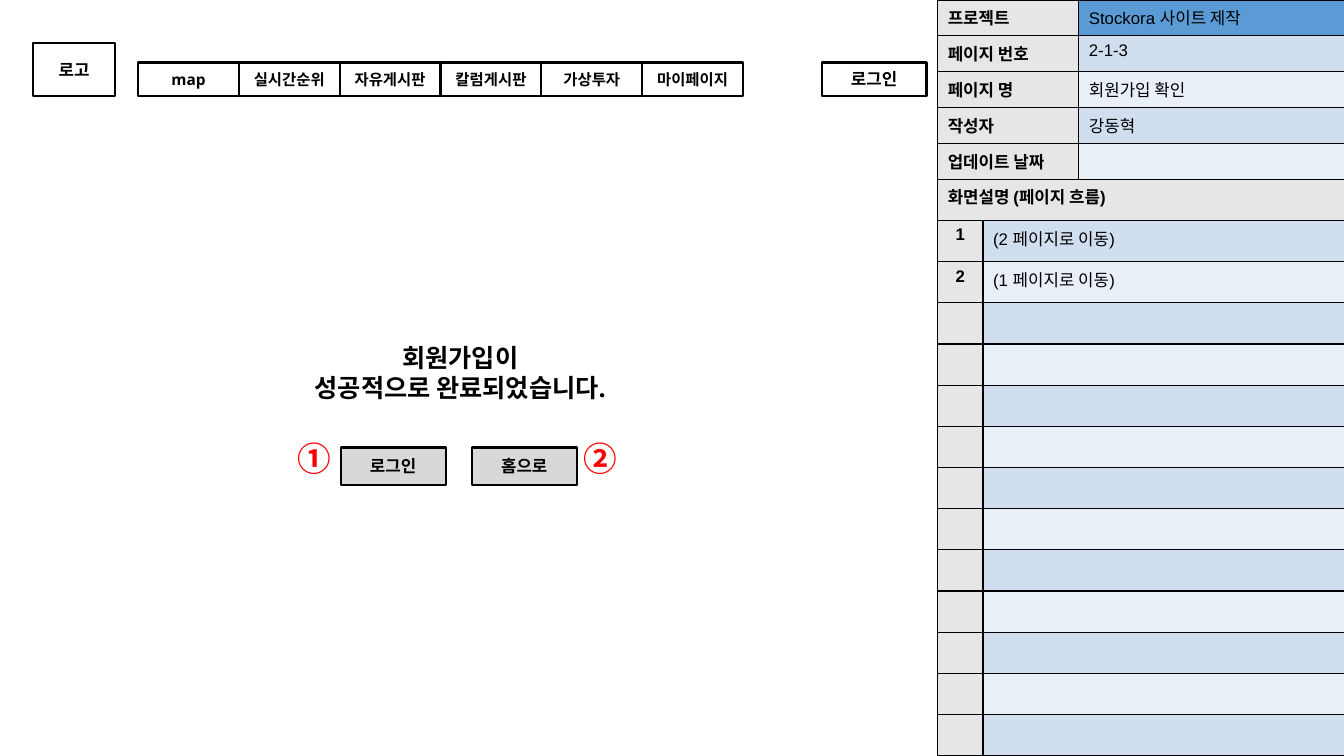
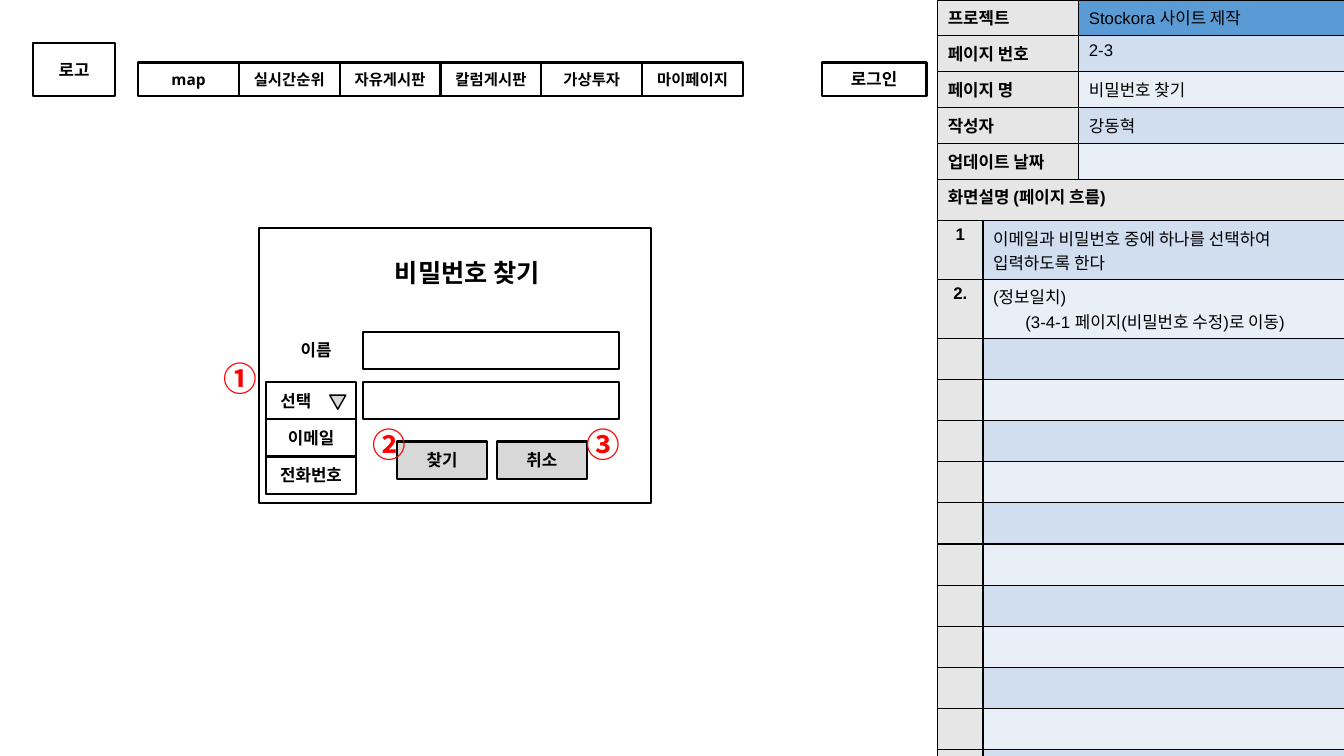
from lxml.etree import SubElement as Sub
from pptx import Presentation
from pptx.dml.color import RGBColor as RGB
from pptx.enum.shapes import MSO_SHAPE as Shape
from pptx.enum.text import MSO_ANCHOR as Anchor, MSO_AUTO_SIZE as Fit, PP_ALIGN as Align
from pptx.oxml.ns import qn
from pptx.util import Inches, Pt

HEX = {
    "ink": "000000",
    "mark": "FF0000",
    "button": "D8D8D8",
    "head": "E7E6E6",
    "project": "5B9BD5",
    "dark": "D0DEEF",
    "light": "E9EFF7",
}
SANS, BODY, ASIAN = "Open Sans", "Arial", "Noto Sans CJK KR"
MENU = ["map", "실시간순위", "자유게시판", "칼럼게시판", "가상투자", "마이페이지"]
PROJECT, AUTHOR = "Stockora 사이트 제작", "강동혁"
SIDE, SPLIT, BOTTOM = 9.3, 1.78, 7.5
STEPS = 13


def color(name):
    return RGB.from_string(HEX[name])


def style(frame, size, face=SANS, bold=True, align=Align.CENTER, ink="ink"):
    for para in frame.paragraphs:
        para.alignment = align
        font = para.font
        font.size, font.bold, font.name = Pt(size), bold, face
        font.color.rgb = color(ink)
        latin = para._p.pPr.find(qn("a:defRPr")).find(qn("a:latin"))
        latin.addnext(latin.makeelement(qn("a:ea"), {"typeface": ASIAN}))


def inset(frame, side=0.1, top=0.1):
    frame.margin_left = frame.margin_right = Inches(side)
    frame.margin_top = frame.margin_bottom = Inches(top)


def place(at):
    return [Inches(n) for n in at]


def paint(shape, fill=None, width=1.5):
    shape.shadow.inherit = False
    if fill:
        shape.fill.solid()
        shape.fill.fore_color.rgb = color(fill)
    else:
        shape.fill.background()
    shape.line.color.rgb = color("ink")
    shape.line.width = Pt(width)


def write(frame, text, size, **look):
    frame.text = text
    frame.word_wrap = True
    frame.auto_size = Fit.NONE
    frame.vertical_anchor = Anchor.MIDDLE
    inset(frame)
    style(frame, size, **look)


def box(slide, at, text="", fill=None, size=12, **look):
    shape = slide.shapes.add_shape(Shape.RECTANGLE, *place(at))
    paint(shape, fill)
    if text:
        write(shape.text_frame, text, size, **look)
    return shape


def label(slide, at, text):
    frame = slide.shapes.add_textbox(*place(at)).text_frame
    write(frame, text, 12)


def mark(slide, left, top, sign):
    frame = slide.shapes.add_textbox(*place((left, top, 0.6, 0.5))).text_frame
    write(frame, sign, 24, face=ASIAN, align=Align.LEFT, ink="mark")
    frame.vertical_anchor = Anchor.TOP
    inset(frame, top=0.05)


def title(slide, at, text):
    head = slide.shapes.title
    head.left, head.top, head.width, head.height = place(at)
    write(head.text_frame, text, 18)


def border(cell):
    props = cell._tc.get_or_add_tcPr()
    for edge in ("lnL", "lnR", "lnT", "lnB"):
        line = Sub(props, qn(f"a:{edge}"), w=str(Pt(1)))
        fill = Sub(line, qn("a:solidFill"))
        Sub(fill, qn("a:srgbClr"), val=HEX["ink"])


def fill_cell(cell, text, fill, **look):
    border(cell)
    cell.fill.solid()
    cell.fill.fore_color.rgb = color(fill)
    cell.text = text
    inset(cell, top=0.05)
    style(cell.text_frame, 12, face=BODY, **look)


def grid(slide, rows, top, end, widths):
    frame = slide.shapes.add_table(
        rows, len(widths), *place((SIDE, top, sum(widths), end - top)))
    table = frame.table
    table.first_row = table.horz_banding = False
    for col, width in zip(table.columns, widths):
        col.width = Inches(width)
    return table


def band(row):
    return "dark" if row % 2 else "light"


def info(slide, number, name):
    rows = [("프로젝트", PROJECT), ("페이지 번호", number), ("페이지 명", name),
            ("작성자", AUTHOR), ("업데이트 날짜", "")]
    table = grid(slide, len(rows), 0, SPLIT, (1.4, 2.64))
    for row, (key, value) in enumerate(rows):
        fill_cell(table.cell(row, 0), key, "head", align=Align.LEFT)
        fill_cell(table.cell(row, 1), value, band(row) if row else "project",
                  bold=False, align=Align.LEFT)


def flow(slide, steps):
    """Add the description table and return it."""
    table = grid(slide, STEPS + 1, SPLIT, BOTTOM, (0.45, 3.59))
    for col in range(2):
        fill_cell(table.cell(0, col), "" if col else "화면설명 (페이지 흐름)",
                  "head", align=Align.LEFT)
    table.cell(0, 0).merge(table.cell(0, 1))
    blank = [("", "")] * (STEPS - len(steps))
    for row, (key, text) in enumerate(steps + blank, 1):
        fill_cell(table.cell(row, 0), key, "head")
        fill_cell(table.cell(row, 1), text, band(row), bold=False, align=Align.LEFT)
    return table


def menu(slide):
    box(slide, (0.33, 0.43, 0.81, 0.52), "로고")
    box(slide, (8.15, 0.62, 1.04, 0.33), "로그인")
    for i, text in enumerate(MENU):
        box(slide, (1.37 + i, 0.62, 1, 0.33), text, size=11)


def page(deck, number, name, steps):
    """Add a slide with the parts all pages share; return it and its flow table."""
    slide = deck.slides.add_slide(deck.slide_layouts[5])
    info(slide, number, name)
    table = flow(slide, steps)
    menu(slide)
    return slide, table


def joined(deck):
    steps = [("1", "(2 페이지로 이동)"), ("2", "(1 페이지로 이동)")]
    slide, _ = page(deck, "2-1-3", "회원가입 확인", steps)
    title(slide, (2.34, 3.51, 4.45, 0.37), "회원가입이\n성공적으로 완료되었습니다.")
    for left, text in ((3.38, "로그인"), (4.68, "홈으로")):
        box(slide, (left, 4.44, 1.04, 0.37), text, "button")
    for left, sign in ((2.85, "①"), (5.69, "②")):
        mark(slide, left, 4.3, sign)


def picker(slide, left, top, wide, high):
    """Draw the open drop-down list."""
    first = box(slide, (left, top, wide, high), "선택", align=Align.LEFT)
    first.text_frame.margin_left = Inches(0.14)
    for i, text in enumerate(("이메일", "전화번호"), 1):
        box(slide, (left, top + i * high, wide, high), text)
    arrow = slide.shapes.add_shape(
        Shape.ISOSCELES_TRIANGLE, *place((left + 0.63, top + 0.13, 0.16, 0.14)))
    arrow.rotation = 180
    paint(arrow, "button", 1)


def search(deck):
    steps = [("1", "이메일과 비밀번호 중에 하나를 선택하여\n입력하도록 한다"),
             ("2.", "(정보일치)\n(3-4-1 페이지(비밀번호 수정)로 이동)")]
    slide, table = page(deck, "2-3", "비밀번호 찾기", steps)
    target = table.cell(2, 1).text_frame.paragraphs[1]
    target._p.get_or_add_pPr().set("marL", str(Inches(0.32)))
    box(slide, (2.57, 2.26, 3.89, 2.73))
    title(slide, (3.73, 2.52, 1.81, 0.37), "비밀번호 찾기")
    label(slide, (2.72, 3.29, 0.83, 0.37), "이름")
    for top in (3.29, 3.79):
        box(slide, (3.6, top, 2.54, 0.37))
    picker(slide, 2.64, 3.79, 0.89, 0.37)
    for left, text in ((3.94, "찾기"), (4.93, "취소")):
        box(slide, (left, 4.38, 0.89, 0.37), text, "button")
    for left, top, sign in ((2.12, 3.5, "①"), (3.6, 4.16, "②"), (5.72, 4.16, "③")):
        mark(slide, left, top, sign)


def main():
    deck = Presentation()
    deck.slide_width, deck.slide_height = Inches(13.33), Inches(BOTTOM)
    joined(deck)
    search(deck)
    deck.save("out.pptx")


if __name__ == "__main__":
    main()
